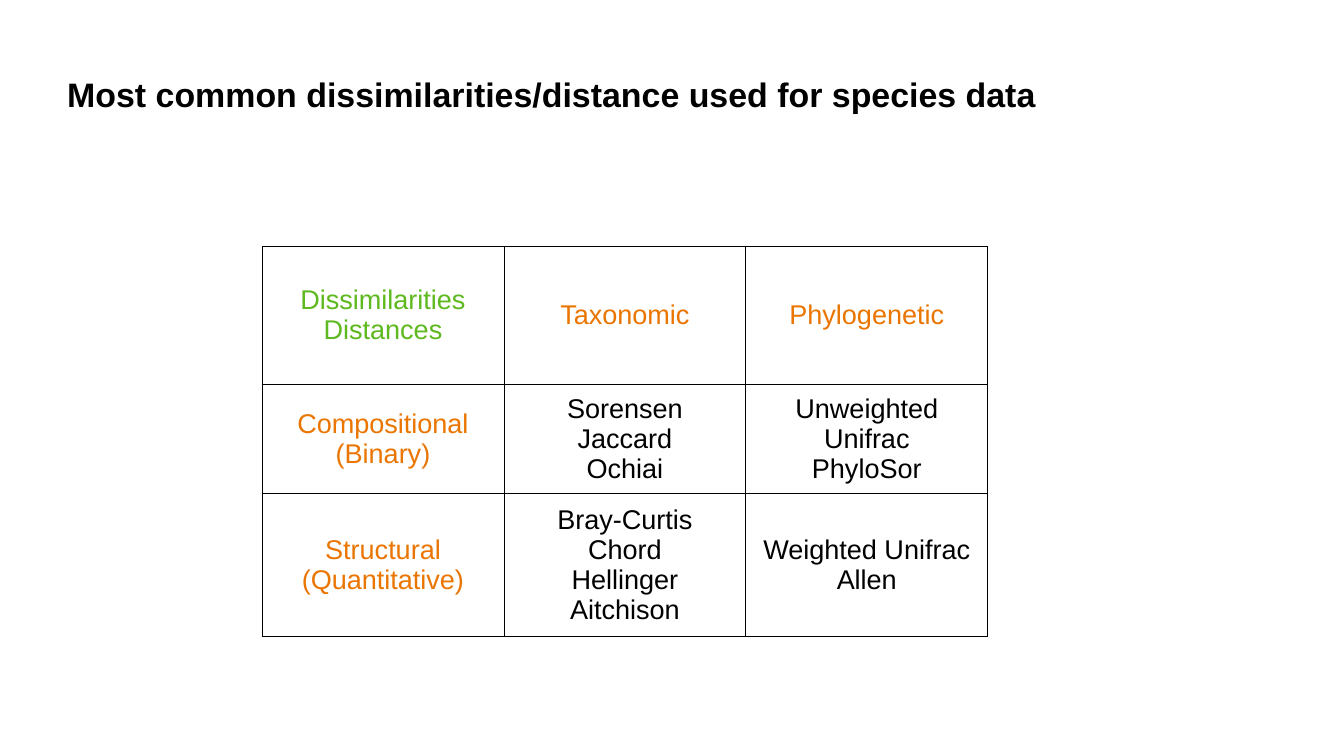
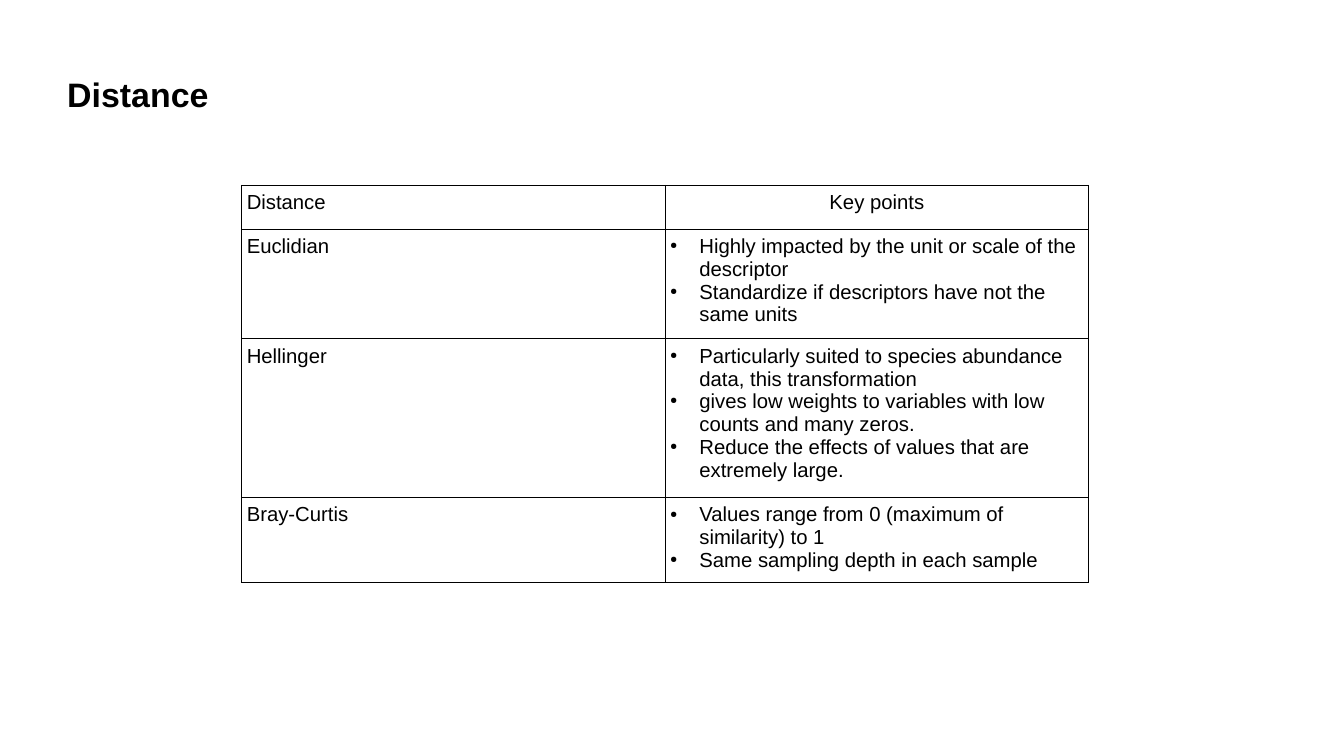
import lxml.etree
import pptx
import pptx.dml.color
import pptx.enum.text
import pptx.oxml.ns
import pptx.util

COLORS = {"ink": "000000", "corner": "5EB91E", "heading": "EA7500"}
FONT = "Arial"
SLIDE_WIDTH = pptx.util.Inches(11.02)
SLIDE_HEIGHT = pptx.util.Inches(6.2)
BORDER_WIDTH = pptx.util.Pt(0.57)
BULLET_INDENT = pptx.util.Inches(0.24)
CENTER = pptx.enum.text.PP_ALIGN.CENTER
LEFT = pptx.enum.text.PP_ALIGN.LEFT
MIDDLE = pptx.enum.text.MSO_ANCHOR.MIDDLE
TOP = pptx.enum.text.MSO_ANCHOR.TOP


def across(percent):
    return round(SLIDE_WIDTH * percent / 100)


def down(percent):
    return round(SLIDE_HEIGHT * percent / 100)


def add_element(parent, tag, **attributes):
    element = lxml.etree.SubElement(parent, pptx.oxml.ns.qn(tag))
    for name, value in attributes.items():
        element.set(name, str(value))
    return element


def add_bullet(para):
    properties = para._p.get_or_add_pPr()
    properties.set("marL", str(BULLET_INDENT))
    properties.set("indent", str(-BULLET_INDENT))
    add_element(add_element(properties, "a:buClr"), "a:srgbClr", val=COLORS["ink"])
    add_element(properties, "a:buSzPct", val=45000)
    add_element(properties, "a:buChar", char="●")


def write_text(frame, text, size=12, color="ink", bold=False, align=LEFT, bullets=False):
    """Fill a text frame with one paragraph per line of text."""
    frame.word_wrap = True
    for index, line in enumerate(text.split("\n")):
        para = frame.add_paragraph() if index else frame.paragraphs[0]
        para.alignment = align
        if bullets:
            add_bullet(para)
        span = para.add_run()
        span.text = line
        span.font.name = FONT
        span.font.size = pptx.util.Pt(size)
        span.font.bold = bold
        span.font.color.rgb = pptx.dml.color.RGBColor.from_string(COLORS[color])


def draw_borders(cell):
    properties = cell._tc.get_or_add_tcPr()
    for side in ("a:lnL", "a:lnR", "a:lnT", "a:lnB"):
        line = add_element(properties, side, w=BORDER_WIDTH)
        add_element(add_element(line, "a:solidFill"), "a:srgbClr", val=COLORS["ink"])


class Presenter:
    """Holds the deck and the current page; places are percentages of the slide."""

    def __init__(self):
        self.deck = pptx.Presentation()
        self.deck.slide_width = SLIDE_WIDTH
        self.deck.slide_height = SLIDE_HEIGHT
        self.page = None

    def add_page(self, title):
        self.page = self.deck.slides.add_slide(self.deck.slide_layouts[6])
        box = self.page.shapes.add_textbox(across(5), down(4), across(90), down(16.8))
        frame = box.text_frame
        frame.margin_left = frame.margin_right = 0
        frame.margin_top = frame.margin_bottom = 0
        frame.vertical_anchor = MIDDLE
        write_text(frame, title, size=20, bold=True)

    def add_table(self, rows, left, top, column_width, row_heights, style, anchor=TOP):
        """Draw a ruled table; style(row, column) gives the text format of a cell."""
        columns = len(rows[0])
        table = self.page.shapes.add_table(
            len(rows), columns, across(left), down(top),
            across(column_width * columns), down(sum(row_heights))).table
        table.first_row = table.horz_banding = False
        for column in table.columns:
            column.width = across(column_width)
        for row, height in zip(table.rows, row_heights):
            row.height = down(height)
        for row_index, texts in enumerate(rows):
            for column_index, text in enumerate(texts):
                cell = table.cell(row_index, column_index)
                cell.margin_left = cell.margin_right = pptx.util.Inches(0.04)
                cell.margin_top = cell.margin_bottom = pptx.util.Inches(0.05)
                cell.vertical_anchor = anchor
                draw_borders(cell)
                cell.fill.background()
                write_text(cell.text_frame, text, **style(row_index, column_index))


def matrix_style(row, column):
    if row and column:
        color = "ink"
    else:
        color = "heading" if row or column else "corner"
    return {"size": 16, "color": color, "align": CENTER}


def key_point_style(row, column):
    return {"align": CENTER if column and not row else LEFT,
            "bullets": bool(row and column)}


MEASURES = [
    ["Dissimilarities\nDistances", "Taxonomic", "Phylogenetic"],
    ["Compositional\n(Binary)", "Sorensen\nJaccard\nOchiai",
     "Unweighted Unifrac\nPhyloSor"],
    ["Structural\n(Quantitative)", "Bray-Curtis\nChord\nHellinger\nAitchison",
     "Weighted Unifrac\nAllen"],
]

KEY_POINTS = [
    ["Distance", "Key points"],
    ["Euclidian",
     "Highly impacted by the unit or scale of the descriptor\n"
     "Standardize if descriptors have not the same units"],
    ["Hellinger",
     "Particularly suited to species abundance data, this transformation\n"
     "gives low weights to variables with low counts and many zeros.\n"
     "Reduce the effects of values that are extremely large."],
    ["Bray-Curtis",
     "Values range from 0 (maximum of similarity) to 1\n"
     "Same sampling depth in each sample"],
]


def main():
    presenter = Presenter()
    presenter.add_page("Most common dissimilarities/distance used for species data")
    presenter.add_table(MEASURES, left=19.5, top=32.6, column_width=18,
                        row_heights=[18.2, 14.4, 18.8],
                        style=matrix_style, anchor=MIDDLE)
    presenter.add_page("Distance")
    presenter.add_table(KEY_POINTS, left=18, top=24.5, column_width=31.5,
                        row_heights=[5.8, 14.5, 20.9, 11.2],
                        style=key_point_style)
    presenter.deck.save("out.pptx")


if __name__ == "__main__":
    main()
